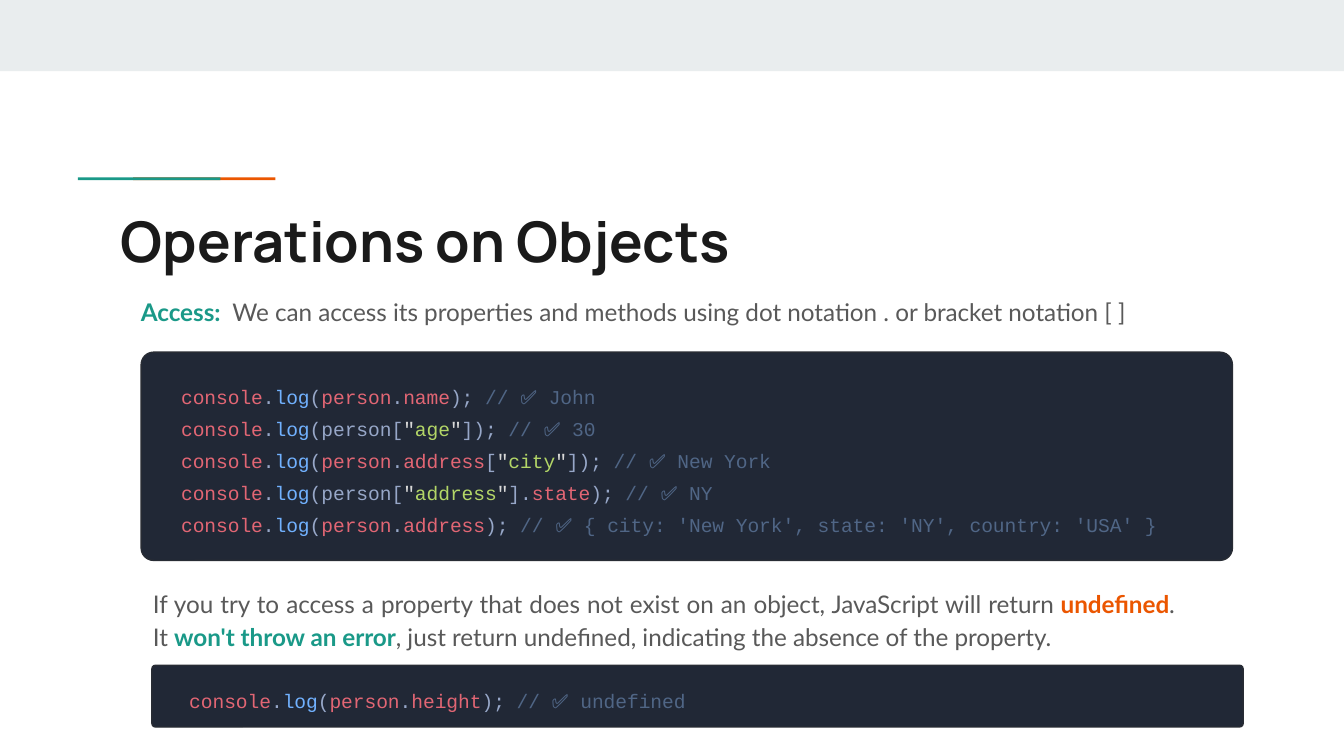
from pptx import Presentation
from pptx.dml.color import RGBColor
from pptx.enum.shapes import MSO_SHAPE as Shape
from pptx.enum.text import MSO_ANCHOR as Anchor, MSO_AUTO_SIZE as Fit, PP_ALIGN as Align
from pptx.util import Inches, Pt

COLORS = {
    "band": "E9EDEE", "teal": "1A9988", "orange": "EB5600",
    "title": "1A1A1A", "text": "595959", "panel": "212836", "edge": "282C34",
    "plain": "97A7C8", "name": "E26674", "call": "71B1FE",
    "quote": "D8D8D8", "key": "B3D667", "note": "506686",
}


def color(key):
    return RGBColor.from_string(COLORS[key])


def quoted(key):
    return [('"', "quote"), (key, "key"), ('"', "quote")]


def member(key):
    return [("(", "plain"), ("person", "name"), (".", "plain"), (key, "name")]


def log(parts, end, note):
    """Return the coloured parts of one console.log line."""
    start = [("console", "name"), (".", "plain"), ("log", "call")]
    return start + parts + [(end, "plain"), (f"// ✅ {note}", "note")]


class Deck:
    def __init__(self):
        self.file = Presentation()
        self.file.slide_width = Inches(10)
        self.file.slide_height = Inches(10) * 9 // 16
        self.slide = self.file.slides.add_slide(self.file.slide_layouts[5])

    def shape(self, kind, box, fill):
        shape = self.slide.shapes.add_shape(kind, *map(Inches, box))
        shape.shadow.inherit = False
        shape.fill.solid()
        shape.fill.fore_color.rgb = color(fill)
        shape.line.fill.background()
        return shape

    def frame(self, shape, left=0.1):
        frame = shape.text_frame
        frame.word_wrap = True
        frame.auto_size = Fit.NONE
        frame.margin_left = Inches(left)
        frame.margin_right = frame.margin_top = frame.margin_bottom = Inches(0.1)
        return frame

    def runs(self, para, parts, bold=()):
        for text, key in parts:
            run = para.add_run()
            run.text = text
            run.font.color.rgb = color(key)
            run.font.bold = key in bold

    def title(self, box, text):
        shape = self.slide.shapes.title
        shape.left, shape.top, shape.width, shape.height = map(Inches, box)
        frame = self.frame(shape)
        frame.vertical_anchor = Anchor.TOP
        frame.text = text
        para = frame.paragraphs[0]
        para.alignment = Align.LEFT
        font = para.font
        font.name, font.size, font.bold = "Manrope", Pt(30), True
        font.color.rgb = color("title")

    def text(self, box, parts):
        frame = self.frame(self.slide.shapes.add_textbox(*map(Inches, box)))
        para = frame.paragraphs[0]
        para.alignment = Align.JUSTIFY
        para.line_spacing = 1.15
        para.space_after = Pt(16)
        para.font.name, para.font.size = "Lato", Pt(13)
        self.runs(para, parts, bold=("teal", "orange"))

    def code(self, box, lines):
        shape = self.shape(Shape.ROUNDED_RECTANGLE, box, "panel")
        shape.adjustments[0] = 0.06
        shape.line.color.rgb = color("edge")
        shape.line.width = Pt(0.75)
        frame = self.frame(shape, left=0.27)
        frame.vertical_anchor = Anchor.MIDDLE
        for i, parts in enumerate(lines):
            para = frame.add_paragraph() if i else frame.paragraphs[0]
            para.alignment = Align.LEFT
            para.line_spacing = 1.36
            para.font.name, para.font.size = "Courier New", Pt(10.5)
            self.runs(para, parts)


def main():
    deck = Deck()
    deck.shape(Shape.RECTANGLE, (0, 0, 10, 0.53), "band")
    for left, fill in ((0.99, "orange"), (0.58, "teal")):
        deck.shape(Shape.RECTANGLE, (left, 1.32, 1.06, 0.02), fill)
    deck.title((0.8, 1.44, 8.41, 0.59), "Operations on Objects")
    deck.text((0.95, 2.08, 7.8, 0.42), [
        ("Access: ", "teal"),
        (" We can access its properties and methods using dot notation . "
         "or bracket notation [ ]", "text"),
    ])
    index = [("(person[", "plain")]
    deck.code((1.05, 2.62, 8.12, 1.55), [
        log(member("name"), "); ", "John"),
        log(index + quoted("age"), "]); ", "30"),
        log(member("address") + [("[", "plain")] + quoted("city"), "]); ", "New York"),
        log(index + quoted("address") + [("].", "plain"), ("state", "name")], "); ", "NY"),
        log(member("address"), "); ",
            "{ city: 'New York', state: 'NY', country: 'USA' }"),
    ])
    deck.text((1.04, 4.25, 7.8, 0.67), [
        ("If you try to access a property that does not exist on an object, "
         "JavaScript will return ", "text"),
        ("undefined", "orange"),
        (". It ", "text"),
        ("won't throw an error", "teal"),
        (", just return undefined, indicating the absence of the property.", "text"),
    ])
    deck.code((1.13, 4.95, 8.12, 0.46), [log(member("height"), "); ", "undefined")])
    deck.file.save("out.pptx")


if __name__ == "__main__":
    main()
